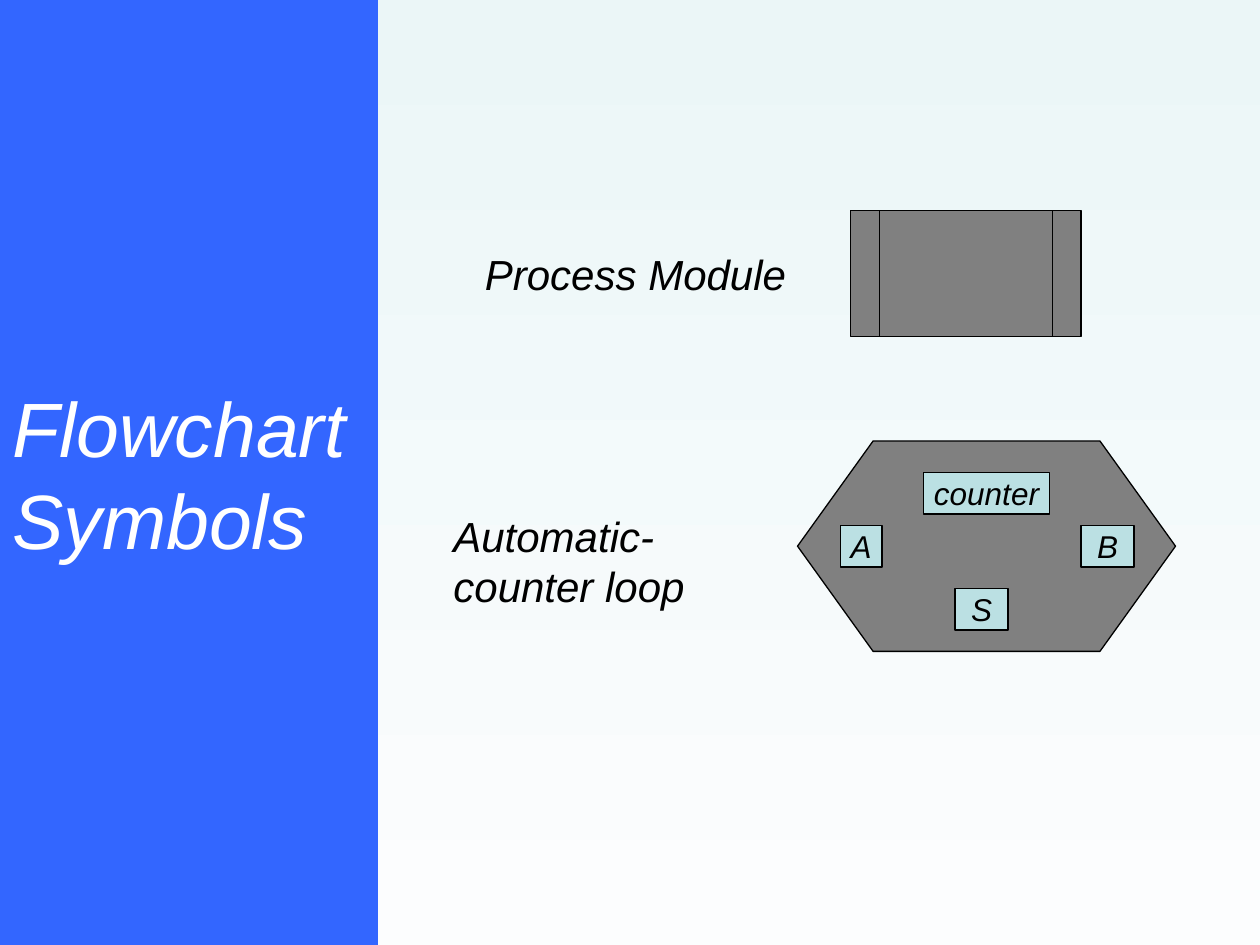
from pptx import Presentation
from pptx.dml.color import RGBColor
from pptx.enum.shapes import MSO_SHAPE
from pptx.enum.text import MSO_ANCHOR, PP_ALIGN
from pptx.util import Inches, Pt

COLORS = {
    "background_top": "EBF6F7",
    "background_bottom": "FCFDFE",
    "panel": "3366FF",
    "symbol": "808080",
    "tag": "BBE0E3",
    "ink": "000000",
    "title": "FFFFFF",
}


def color(name):
    return RGBColor.from_string(COLORS[name])


def write_text(shape, text, size, color_name, alignment=PP_ALIGN.LEFT, wrap=True):
    frame = shape.text_frame
    frame.word_wrap = wrap
    paragraph = frame.paragraphs[0]
    paragraph.text = text
    paragraph.alignment = alignment
    font = paragraph.font
    font.name = "Arial"
    font.size = Pt(size)
    font.italic = True
    font.color.rgb = color(color_name)


def add_box(slide, kind, left, top, width, height, fill, outlined=True):
    shape = slide.shapes.add_shape(
        kind, Inches(left), Inches(top), Inches(width), Inches(height)
    )
    shape.shadow.inherit = False
    shape.fill.solid()
    shape.fill.fore_color.rgb = color(fill)
    if outlined:
        shape.line.color.rgb = color("ink")
        shape.line.width = Pt(0.75)
    else:
        shape.line.fill.background()
    shape.text_frame.vertical_anchor = MSO_ANCHOR.MIDDLE
    return shape


def add_label(slide, text, left, top, width, height, wrap=True):
    label = slide.shapes.add_textbox(
        Inches(left), Inches(top), Inches(width), Inches(height)
    )
    write_text(label, text, 24, "ink", wrap=wrap)


def paint_background(slide):
    fill = slide.background.fill
    fill.gradient()
    fill.gradient_angle = 270
    for stop, position, name in zip(
        fill.gradient_stops, (0, 1), ("background_top", "background_bottom")
    ):
        stop.position = position
        stop.color.rgb = color(name)


def add_title_panel(slide, left, top, width, height):
    panel = add_box(
        slide, MSO_SHAPE.RECTANGLE, left, top, width, height, "panel", outlined=False
    )
    write_text(panel, "Flowchart Symbols", 44, "title")


def add_process_module(slide, left, top, width, height):
    add_label(slide, "Process Module", left, top + 0.25, 2.59, 0.5, wrap=False)
    add_box(
        slide, MSO_SHAPE.FLOWCHART_PREDEFINED_PROCESS,
        left + 3, top, width - 3, height, "symbol",
    )


def add_counter_loop(slide, left, top, width, height):
    add_label(slide, "Automatic-counter loop", left, top + 0.5, 2.48, 0.9)
    symbol_left = left + 2.83
    add_box(
        slide, MSO_SHAPE.FLOWCHART_PREPARATION,
        symbol_left, top, width - 2.83, height, "symbol",
    )
    tags = (
        ("counter", 1, 0.25, 1),
        ("A", 0.34, 0.67, 0.33),
        ("B", 2.25, 0.67, 0.42),
        ("S", 1.25, 1.17, 0.42),
    )
    for text, across, down, tag_width in tags:
        tag = add_box(
            slide, MSO_SHAPE.RECTANGLE,
            symbol_left + across, top + down, tag_width, 0.33, "tag",
        )
        write_text(tag, text, 18, "ink", PP_ALIGN.CENTER, wrap=False)


def main():
    presentation = Presentation()
    presentation.slide_width = Inches(10)
    presentation.slide_height = Inches(7.5)
    slide = presentation.slides.add_slide(presentation.slide_layouts[6])
    paint_background(slide)
    add_title_panel(slide, 0, 0, 3, 7.5)
    add_process_module(slide, 3.75, 1.67, 4.83, 1)
    add_counter_loop(slide, 3.5, 3.5, 5.83, 1.67)
    presentation.save("out.pptx")


if __name__ == "__main__":
    main()
